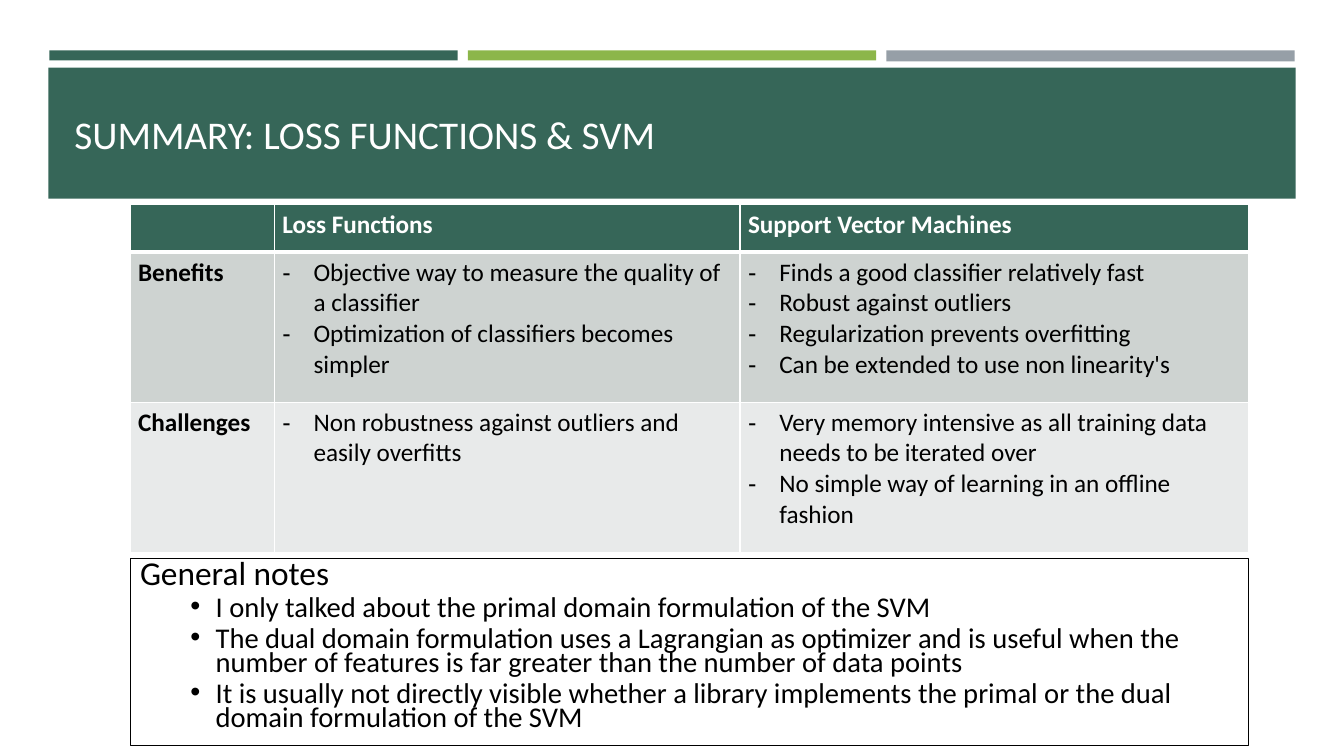
from lxml import etree
from pptx import Presentation, util as u
from pptx.dml.color import RGBColor
from pptx.enum import shapes, text
from pptx.oxml.ns import qn

FONT = "Calibri"
GREEN, LIME, GREY = "366658", "8CB64A", "969FA7"
WHITE, BLACK = "FFFFFF", "000000"

TITLE = "SUMMARY: LOSS FUNCTIONS & SVM"
BARS = [(0.49, 0.1, GREEN), (4.64, 0.1, LIME), (8.79, 0.11, GREY)]
HEADER = ["", "Loss Functions", "Support Vector Machines"]
ROWS = [
    ("Benefits",
     ["Objective way to measure the quality of a classifier",
      "Optimization of classifiers becomes simpler"],
     ["Finds a good classifier relatively fast",
      "Robust against outliers",
      "Regularization prevents overfitting",
      "Can be extended to use non linearity's"]),
    ("Challenges",
     ["Non robustness against outliers and easily overfitts"],
     ["Very memory intensive as all training data needs to be iterated over",
      "No simple way of learning in an offline fashion"]),
]
COL_WIDTHS = [1.43, 4.62, 5.04]
ROW_HEIGHTS = [0.47, 1.49, 1.49]
ROW_FILLS = [GREEN, "CED3D1", "E8EAEA"]
NOTES_HEAD = "General notes"
NOTES = [
    "I only talked about the primal domain formulation of the SVM",
    "The dual domain formulation uses a Lagrangian as optimizer and is useful "
    "when the number of features is far greater than the number of data points",
    "It is usually not directly visible whether a library implements the primal "
    "or the dual domain formulation of the SVM",
]
LEFT, TABLE_TOP, NOTES_TOP, NOTES_HEIGHT = 1.29, 2.03, 5.54, 1.86


def color(value):
    return RGBColor.from_string(value)


def add_rect(s, left, top, width, height, fill, line=None):
    sp = s.shapes.add_shape(shapes.MSO_SHAPE.RECTANGLE, *map(u.Inches, (left, top, width, height)))
    sp.shadow.inherit = False
    sp.fill.solid()
    sp.fill.fore_color.rgb = color(fill)
    if line:
        sp.line.color.rgb = color(line)
        sp.line.width = u.Pt(0.75)
    else:
        sp.line.fill.background()
    return sp


def add_run(p, words, size, ink, bold=False):
    p.alignment = text.PP_ALIGN.LEFT
    r = p.add_run()
    r.text = words
    r.font.name = FONT
    r.font.size = u.Pt(size)
    r.font.bold = bold
    r.font.color.rgb = color(ink)


def add_bullet(p, mark, margin, hang):
    props = p._p.get_or_add_pPr()
    props.set("marL", str(u.Inches(margin)))
    props.set("indent", str(-u.Inches(hang)))
    etree.SubElement(props, qn("a:buFont")).set("typeface", "Arial")
    etree.SubElement(props, qn("a:buChar")).set("char", mark)


def next_paragraph(tf, index):
    return tf.add_paragraph() if index else tf.paragraphs[0]


def set_borders(cell, bottom):
    props = cell._tc.get_or_add_tcPr()
    for i, (side, width) in enumerate([("L", 1), ("R", 1), ("T", 1), ("B", bottom)]):
        ln = etree.Element(qn("a:ln" + side), w=str(u.Pt(width)))
        fill = etree.SubElement(ln, qn("a:solidFill"))
        etree.SubElement(fill, qn("a:srgbClr")).set("val", WHITE)
        props.insert(i, ln)


def fill_cell(cell, content, row):
    cell.fill.solid()
    cell.fill.fore_color.rgb = color(ROW_FILLS[row])
    cell.margin_left = cell.margin_right = u.Inches(0.08)
    cell.margin_top = cell.margin_bottom = u.Inches(0.05)
    set_borders(cell, 1 if row else 3)
    tf = cell.text_frame
    if isinstance(content, str):
        add_run(tf.paragraphs[0], content, 18, BLACK if row else WHITE, True)
        return
    for i, words in enumerate(content):
        p = next_paragraph(tf, i)
        add_run(p, words, 18, BLACK)
        add_bullet(p, "-", 0.31, 0.31)


def add_summary_table(s):
    frame = s.shapes.add_table(
        len(ROW_HEIGHTS), len(COL_WIDTHS), u.Inches(LEFT), u.Inches(TABLE_TOP),
        u.Inches(sum(COL_WIDTHS)), u.Inches(sum(ROW_HEIGHTS)))
    table = frame.table
    for col, width in zip(table.columns, COL_WIDTHS):
        col.width = u.Inches(width)
    for row, height in zip(table.rows, ROW_HEIGHTS):
        row.height = u.Inches(height)
    for i, contents in enumerate([HEADER, *ROWS]):
        for j, content in enumerate(contents):
            fill_cell(table.cell(i, j), content, i)


def add_notes(s):
    sp = add_rect(s, LEFT, NOTES_TOP, sum(COL_WIDTHS), NOTES_HEIGHT, WHITE, BLACK)
    tf = sp.text_frame
    tf.word_wrap = True
    tf.vertical_anchor = text.MSO_ANCHOR.TOP
    for i, words in enumerate([NOTES_HEAD, *NOTES]):
        p = next_paragraph(tf, i)
        p.line_spacing = 0.7
        p.space_before = u.Pt(5 if i else 10)
        add_run(p, words, 20.4 if i else 23.8, BLACK)
        if i:
            p.level = 1
            add_bullet(p, "•", 0.75, 0.25)


def main():
    prs = Presentation()
    prs.slide_width, prs.slide_height = u.Inches(13.33), u.Inches(7.5)
    s = prs.slides.add_slide(prs.slide_layouts[6])
    for left, height, fill in BARS:
        add_rect(s, left, 0.5, 4.05, height, fill)
    add_rect(s, 0.48, 0.67, 12.37, 1.3, GREEN)
    title = s.shapes.add_textbox(*map(u.Inches, (0.64, 0.77, 12.06, 1.11)))
    tf = title.text_frame
    tf.word_wrap = True
    tf.vertical_anchor = text.MSO_ANCHOR.MIDDLE
    add_run(tf.paragraphs[0], TITLE, 28, WHITE)
    add_summary_table(s)
    add_notes(s)
    prs.save("out.pptx")


if __name__ == "__main__":
    main()
